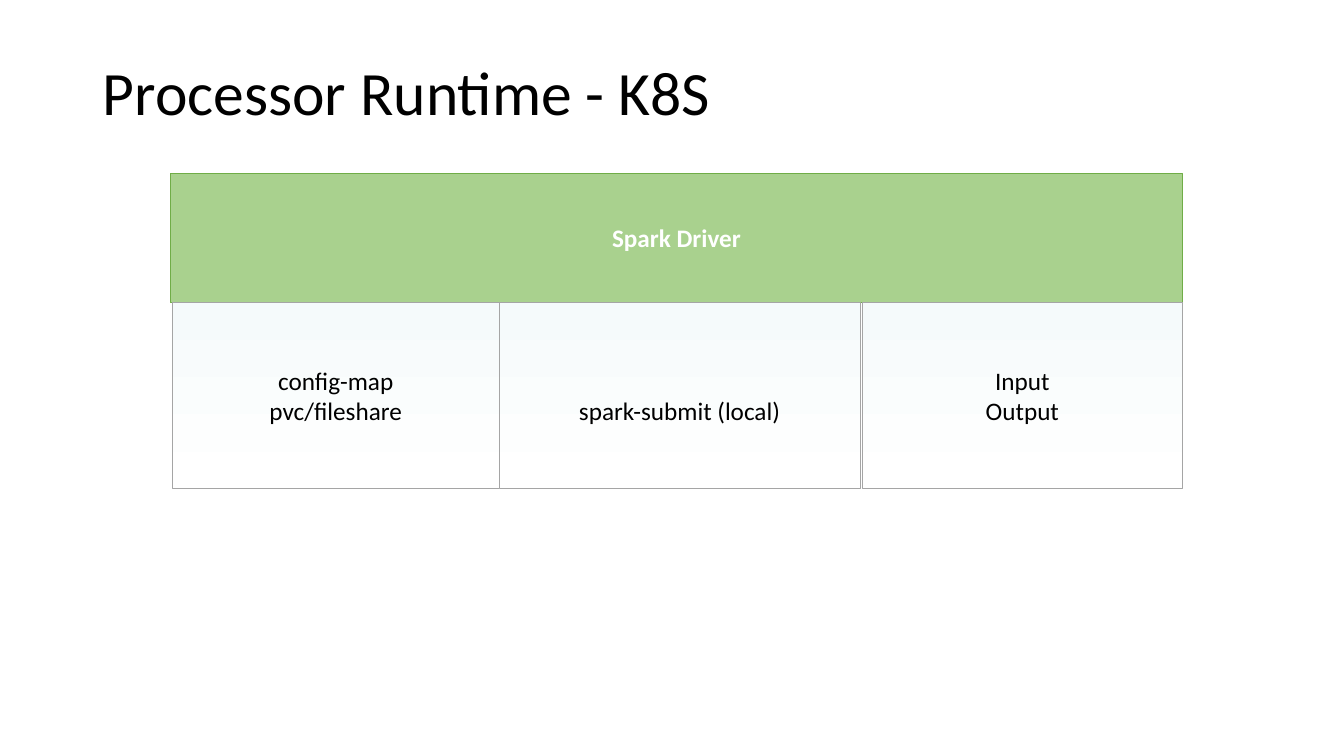
import pptx
import pptx.util
import pptx.dml.color
import pptx.enum.shapes
import pptx.enum.text

Inches = pptx.util.Inches
RGB = pptx.dml.color.RGBColor.from_string
ALIGN = pptx.enum.text.PP_ALIGN
COLORS = {
    "text": "000000",
    "header_text": "FFFFFF",
    "header": "A9D18E",
    "header_line": "70AD47",
    "cell_top": "F5FAFB",
    "cell_bottom": "FFFFFF",
    "cell_line": "A5A5A5",
}


def write(shape, lines, align, color, **font_format):
    frame = shape.text_frame
    frame.word_wrap = True
    frame.vertical_anchor = pptx.enum.text.MSO_ANCHOR.MIDDLE
    frame.text = "\n".join(lines)
    for para in frame.paragraphs:
        para.alignment = align
        for span in para.runs:
            span.font.color.rgb = RGB(COLORS[color])
            for name, value in font_format.items():
                setattr(span.font, name, value)


def add_box(left, top, width, height, line_color):
    box = page.shapes.add_shape(
        pptx.enum.shapes.MSO_SHAPE.RECTANGLE,
        Inches(left), Inches(top), Inches(width), Inches(height))
    box.shadow.inherit = False
    box.line.color.rgb = RGB(COLORS[line_color])
    box.line.width = pptx.util.Pt(0.5)
    return box


deck = pptx.Presentation()
deck.slide_width, deck.slide_height = Inches(13.33), Inches(7.5)
page = deck.slides.add_slide(deck.slide_layouts[5])

title = page.shapes.title
title_place = {"left": 0.92, "top": 0.4, "width": 11.5, "height": 1.09}
for name, value in title_place.items():
    setattr(title, name, Inches(value))
write(title, ["Processor Runtime - K8S"], ALIGN.LEFT, "text",
      name="Calibri", size=pptx.util.Pt(44))
title.text_frame.paragraphs[0].line_spacing = 0.9

body_font = {"name": "Calibri", "size": pptx.util.Pt(18)}

header = add_box(1.69, 1.72, 10.04, 1.28, "header_line")
header.fill.solid()
header.fill.fore_color.rgb = RGB(COLORS["header"])
write(header, ["Spark Driver"], ALIGN.CENTER, "header_text", bold=True, **body_font)

cells = [
    (1.71, 3.24, 0.05, ["config-map", "pvc/fileshare"]),
    (4.95, 3.58, 0.35, ["spark-submit (local)"]),
    (8.55, 3.18, 0.05, ["Input", "Output"]),
]
for left, width, top_inset, lines in cells:
    cell = add_box(left, 3, width, 1.85, "cell_line")
    cell.fill.gradient()
    cell.fill.gradient_angle = 270
    for stop, position, color in zip(cell.fill.gradient_stops, (0, 1), ("cell_top", "cell_bottom")):
        stop.position = position
        stop.color.rgb = RGB(COLORS[color])
    write(cell, lines, ALIGN.CENTER, "text", **body_font)
    cell.text_frame.margin_top = Inches(top_inset)

deck.save("out.pptx")
